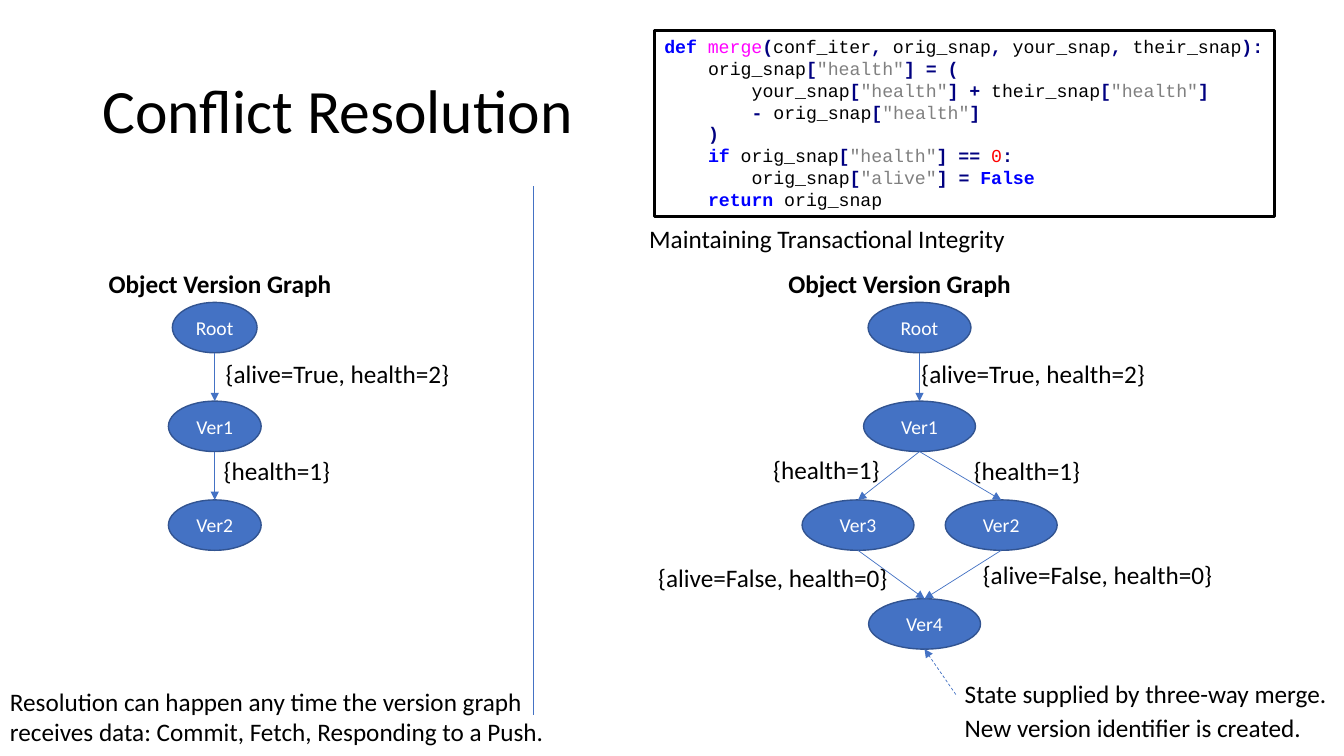
from itertools import groupby

from lxml import etree
from pptx import Presentation
from pptx.dml.color import RGBColor
from pptx.enum.dml import MSO_LINE
from pptx.enum.shapes import MSO_CONNECTOR, MSO_SHAPE
from pptx.enum.text import MSO_ANCHOR, PP_ALIGN
from pptx.oxml.ns import qn
from pptx.util import Inches, Pt

ELLIPSE, RECTANGLE = MSO_SHAPE.OVAL, MSO_SHAPE.RECTANGLE
STRAIGHT, DASH = MSO_CONNECTOR.STRAIGHT, MSO_LINE.DASH
LEFT, CENTER = PP_ALIGN.LEFT, PP_ALIGN.CENTER
TOP, MIDDLE = MSO_ANCHOR.TOP, MSO_ANCHOR.MIDDLE

BLUE, DARK_BLUE, BLACK, WHITE = "4472C4", "325491", "000000", "FFFFFF"
KEYWORD, FUNCTION, OPERATOR, STRING, NUMBER = "0000FF", "FF00FF", "000080", "808080", "FF0000"
KEYWORDS = {"def", "if", "return", "False"}
ROW_STEP, NODE_HEIGHT, LABEL_HEIGHT = 0.98, 0.5, 0.4
CODE_SIZE = 13
CODE_INDENT = 4 * 0.6 * CODE_SIZE / 72

MERGE_CODE = [
    (0, "def merge(conf_iter, orig_snap, your_snap, their_snap):"),
    (1, 'orig_snap["health"] = ('),
    (2, 'your_snap["health"] + their_snap["health"]'),
    (2, '- orig_snap["health"]'),
    (1, ")"),
    (1, 'if orig_snap["health"] == 0:'),
    (2, 'orig_snap["alive"] = False'),
    (1, "return orig_snap"),
]


def color(hex_value):
    return RGBColor.from_string(hex_value)


def add_run(paragraph, text, size=18, font="Calibri", fill=BLACK, bold=False):
    run = paragraph.add_run()
    run.text = text
    run.font.size = Pt(size)
    run.font.name = font
    run.font.bold = bold
    run.font.color.rgb = color(fill)


def write(slide, text, box, wrap=False, anchor=TOP, spacing=None, **font):
    frame = slide.shapes.add_textbox(*map(Inches, box)).text_frame
    frame.word_wrap = wrap
    frame.vertical_anchor = anchor
    for number, line in enumerate(text.split("\n")):
        paragraph = frame.add_paragraph() if number else frame.paragraphs[0]
        paragraph.line_spacing = spacing
        add_run(paragraph, line, **font)


def draw_line(slide, start, end, arrow=True, dashed=False):
    connector = slide.shapes.add_connector(STRAIGHT, *map(Inches, (*start, *end)))
    connector.line.color.rgb = color(BLUE)
    connector.line.width = Pt(0.5)
    if dashed:
        connector.line.dash_style = DASH
    if arrow:
        etree.SubElement(connector.line._get_or_add_ln(), qn("a:tailEnd"), type="triangle")
    etree.SubElement(connector._element.spPr, qn("a:effectLst"))


def draw_version(slide, name, center, top, width):
    box = center - width / 2, top, width, NODE_HEIGHT
    version = slide.shapes.add_shape(ELLIPSE, *map(Inches, box))
    version.shadow.inherit = False
    version.fill.solid()
    version.fill.fore_color.rgb = color(BLUE)
    version.line.color.rgb = color(DARK_BLUE)
    version.line.width = Pt(1)
    frame = version.text_frame
    frame.vertical_anchor = MIDDLE
    frame.margin_left = frame.margin_right = 0
    frame.paragraphs[0].alignment = CENTER
    add_run(frame.paragraphs[0], name, size=14, fill=WHITE)


def version_graph(slide, left, top, heading, versions, edges, labels):
    heading_x, heading_width = heading
    write(slide, "Object Version Graph",
          (left + heading_x, top, heading_width, LABEL_HEIGHT), bold=True)
    first_row = top + 0.39
    spots = {}
    for name, (x, row, width) in versions.items():
        spots[name] = left + x, first_row + row * ROW_STEP
        draw_version(slide, name, *spots[name], width)
    for parent, child in edges:
        x, y = spots[parent]
        draw_line(slide, (x, y + NODE_HEIGHT), spots[child])
    for text, x, y, width in labels:
        write(slide, text, (left + x, top + y, width, LABEL_HEIGHT))


def tokens(line):
    def kind(char):
        return "word" if char.isalnum() or char == "_" else "space" if char == " " else "operator"

    for number, part in enumerate(line.split('"')):
        if number % 2:
            yield f'"{part}"', STRING, False
            continue
        for token_kind, chars in groupby(part, kind):
            token = "".join(chars)
            if token in KEYWORDS:
                yield token, KEYWORD, True
            elif token_kind == "operator":
                yield token, OPERATOR, True
            else:
                yield token, {"merge": FUNCTION, "0": NUMBER}.get(token, BLACK), False


def code_panel(slide, left, top, width, height):
    panel = slide.shapes.add_shape(RECTANGLE, *map(Inches, (left, top, width, height)))
    panel.shadow.inherit = False
    panel.fill.background()
    panel.line.color.rgb = color(BLACK)
    panel.line.width = Pt(2)
    frame = panel.text_frame
    frame.word_wrap = True
    frame.margin_right = Inches(0.05)
    frame.vertical_anchor = TOP
    for number, (level, line) in enumerate(MERGE_CODE):
        paragraph = frame.add_paragraph() if number else frame.paragraphs[0]
        paragraph.alignment = LEFT
        paragraph._p.get_or_add_pPr().set("marL", str(Inches(level * CODE_INDENT)))
        for token, fill, bold in tokens(line):
            add_run(paragraph, token, size=CODE_SIZE, font="Courier New", fill=fill, bold=bold)
    write(slide, "Maintaining Transactional Integrity",
          (left - 0.15, top + 1.87, 4.02, LABEL_HEIGHT), wrap=True)


def merge_note(slide, left, top):
    draw_line(slide, (left + 0.01, top + 0.21), (left - 0.3, top - 0.24), dashed=True)
    for number, sentence in enumerate(
            ["State supplied by three-way merge.", "New version identifier is created."]):
        write(slide, sentence, (left, top + number * 0.34, 3.83, LABEL_HEIGHT), wrap=True)


def conflict_slide(slide):
    write(slide, "Conflict Resolution", (0.92, 0.4, 11.5, 1.45),
          wrap=True, anchor=MIDDLE, spacing=0.9, size=44)
    version_graph(
        slide, 0.98, 2.61, (0, 2.43),
        {"Root": (1.15, 0, 0.84), "Ver1": (1.15, 1, 0.92), "Ver2": (1.15, 2, 0.92)},
        [("Root", "Ver1"), ("Ver1", "Ver2")],
        [("{alive=True, health=2}", 1.16, 0.9, 2.45), ("{health=1}", 1.14, 1.86, 1.27)])
    draw_line(slide, (5.29, 1.85), (5.29, 7.09), arrow=False)
    version_graph(
        slide, 6.43, 2.61, (1.29, 2.94),
        {"Root": (2.69, 0, 1.02), "Ver1": (2.69, 1, 1.11), "Ver3": (2.08, 2, 1.11),
         "Ver2": (3.5, 2, 1.11), "Ver4": (2.74, 3, 1.11)},
        [("Root", "Ver1"), ("Ver1", "Ver3"), ("Ver1", "Ver2"), ("Ver3", "Ver4"), ("Ver2", "Ver4")],
        [("{alive=True, health=2}", 2.61, 0.9, 2.45), ("{health=1}", 1.14, 1.85, 1.27),
         ("{health=1}", 3.13, 1.86, 1.27), ("{alive=False, health=0}", 0, 2.92, 2.5),
         ("{alive=False, health=0}", 3.22, 2.89, 2.5)])
    merge_note(slide, 9.47, 6.68)
    write(slide, "Resolution can happen any time the version graph\n"
          "receives data: Commit, Fetch, Responding to a Push.", (0, 6.76, 5.62, 0.71))
    code_panel(slide, 6.49, 0.3, 6.15, 1.85)


deck = Presentation()
deck.slide_width, deck.slide_height = Inches(13.33), Inches(7.5)
conflict_slide(deck.slides.add_slide(deck.slide_layouts[6]))
deck.save("out.pptx")
